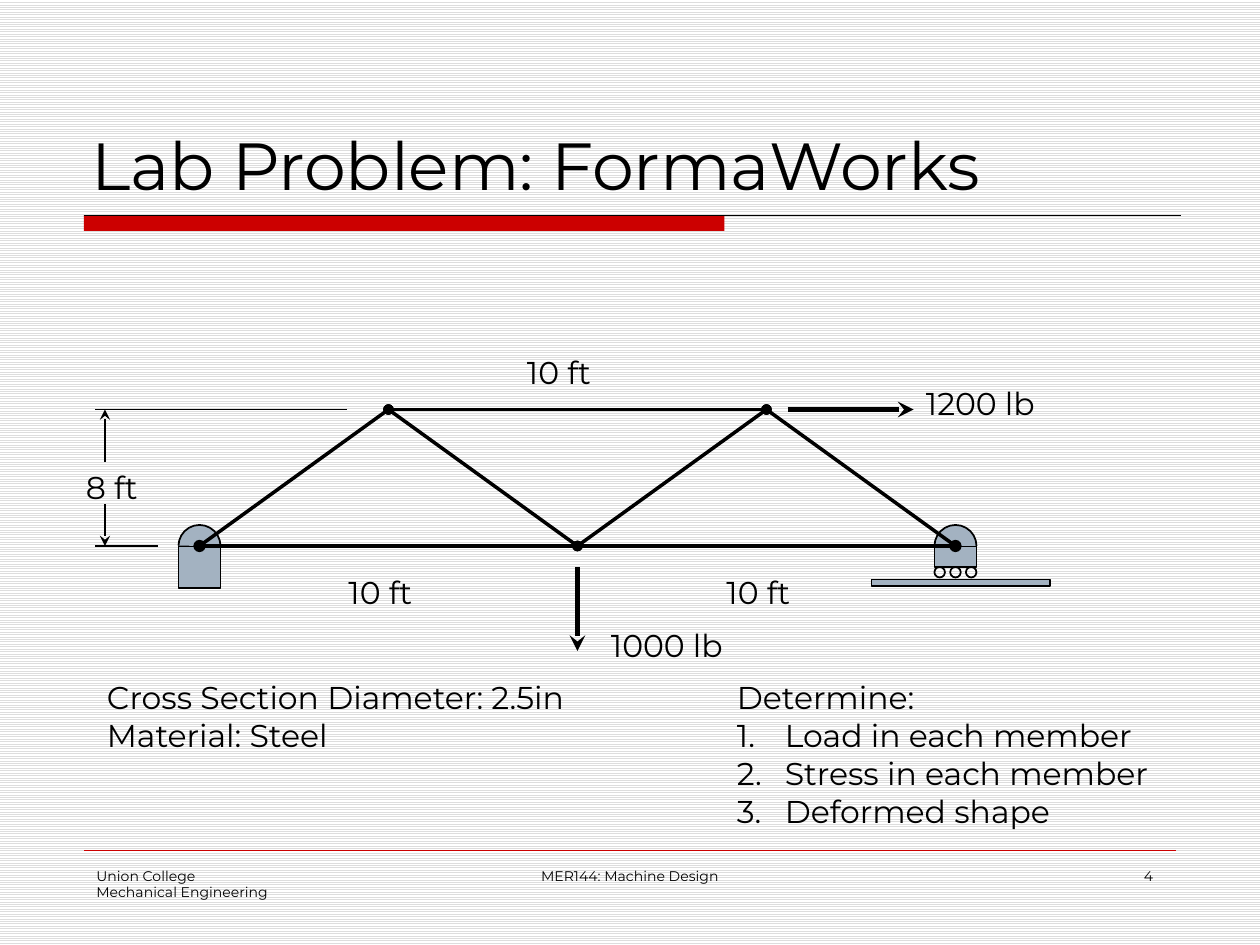
from dataclasses import dataclass
from itertools import pairwise
from lxml.etree import SubElement
from pptx import Presentation
from pptx.dml.color import RGBColor as Rgb
from pptx.enum.dml import MSO_PATTERN as Pattern
from pptx.enum.shapes import MSO_CONNECTOR as Link, MSO_SHAPE as Kind
from pptx.enum.text import MSO_ANCHOR as Anchor, PP_ALIGN as Align
from pptx.oxml.ns import qn
from pptx.util import Inches, Pt


@dataclass(frozen=True)
class Theme:
    font: str = "Montserrat"
    ink: str = "000000"
    paper: str = "FFFFFF"
    rule: str = "DDDDDD"
    red: str = "CC0000"
    steel: str = "A3B2C1"
    title: int = 38
    body: int = 18
    small: int = 8


def rgb(code):
    return Rgb.from_string(code)


def write(frame, text, theme, size=None, align=Align.LEFT, anchor=Anchor.TOP, steps=()):
    frame.word_wrap = True
    frame.vertical_anchor = anchor
    rows = text.split("\n")
    for i, row in enumerate([*rows, *steps]):
        para = frame.paragraphs[0] if i == 0 else frame.add_paragraph()
        para.text = row
        para.alignment = align
        if i >= len(rows):
            props = para._p.get_or_add_pPr()
            props.set("marL", str(Inches(0.38)))
            props.set("indent", str(Inches(-0.38)))
            SubElement(props, qn("a:buAutoNum"), type="arabicPeriod")
        para.font.name = theme.font
        para.font.size = Pt(size or theme.body)
        para.font.color.rgb = rgb(theme.ink)


class Sheet:
    """Draws on one slide with a grid of 120 columns by 90 rows."""

    def __init__(self, deck, theme):
        self.theme = theme
        self.cell = deck.slide_width / 120
        self.slide = deck.slides.add_slide(deck.slide_layouts[6])
        self.shapes = self.slide.shapes
        fill = self.slide.background.fill
        fill.patterned()
        fill.pattern = Pattern.LIGHT_HORIZONTAL
        fill.fore_color.rgb = rgb(theme.rule)
        fill.back_color.rgb = rgb(theme.paper)

    def grid(self, *spans):
        return [round(span * self.cell) for span in spans]

    def text(self, x, y, w, h, words, **style):
        box = self.shapes.add_textbox(*self.grid(x, y, w, h))
        write(box.text_frame, words, self.theme, **style)

    def shape(self, kind, x, y, w, h, fill=None, edge=True):
        item = self.shapes.add_shape(kind, *self.grid(x, y, w, h))
        item.shadow.inherit = False
        if fill:
            item.fill.solid()
            item.fill.fore_color.rgb = rgb(fill)
        else:
            item.fill.background()
        if edge:
            item.line.color.rgb = rgb(self.theme.ink)
            item.line.width = Pt(1)
        else:
            item.line.fill.background()
        return item

    def line(self, start, end, width=1, color=None, head=None, tail=None):
        item = self.shapes.add_connector(Link.STRAIGHT, *self.grid(*start, *end))
        item.line.color.rgb = rgb(color or self.theme.ink)
        item.line.width = Pt(width)
        for tag, mark in (("a:headEnd", head), ("a:tailEnd", tail)):
            if mark:
                SubElement(item.line._get_or_add_ln(), qn(tag), type=mark)
        SubElement(item._element.spPr, qn("a:effectLst"))

    def mount(self, x, y, depth):
        steel = self.theme.steel
        self.shape(Kind.RECTANGLE, x - 2, y, 4, depth, steel)
        dome = self.shape(Kind.ARC, x - 2, y - 2, 4, 4, steel)
        dome.adjustments[0] = 108.724
        dome.adjustments[1] = 0
        self.shape(Kind.OVAL, x - 0.5, y - 0.5, 1, 1, self.theme.paper)


def frame(sheet, theme):
    sheet.shape(Kind.RECTANGLE, 8, 20.5, 61, 1.5, theme.red, edge=False)
    sheet.line((8, 20.5), (112.5, 20.5), 0.75)
    sheet.line((8, 81), (112, 81), 0.25, theme.red)
    sheet.text(7.5, 4, 105, 16, "Lab Problem: FormaWorks", size=theme.title, anchor=Anchor.BOTTOM)
    for x, w, words, align in (
        (8, 25, "Union College\nMechanical Engineering", Align.LEFT),
        (41, 38, "MER144: Machine Design", Align.CENTER),
        (86, 25, "4", Align.RIGHT),
    ):
        sheet.text(x, 82, w, 6, words, size=theme.small, align=align)


def truss(sheet, theme):
    base, top, bay = 52, 39, 36
    left, mid, right = [(19 + bay * i, base) for i in range(3)]
    peaks = [(37 + bay * i, top) for i in range(2)]
    sheet.mount(*left, 4)
    sheet.mount(*right, 2)
    sheet.shape(Kind.RECTANGLE, 83, 55.2, 17, 0.6, theme.steel)
    for i in range(3):
        sheet.shape(Kind.OVAL, 89 + 1.5 * i, 54, 1, 1)
    zigzag = [left, peaks[0], mid, peaks[1], right]
    for start, end in [*pairwise(zigzag), (left, mid), (mid, right), peaks]:
        sheet.line(start, end, 2, head="oval", tail="oval")
    sheet.line((55, 54), (55, 62), 3, tail="stealth")
    sheet.line((75, top), (87, top), 3, tail="stealth")
    for edge, y, near in ((33, top, 44), (15, base, 48)):
        sheet.line((edge, y), (9, y))
        sheet.line((10, near), (10, y), tail="stealth")
    for x, y, w, words in (
        (57, 59, 14.5, "1000 lb"),
        (87, 36, 14.5, "1200 lb"),
        (7, 44, 8, "8 ft"),
        (32, 54, 10, "10 ft"),
        (49, 33, 10, "10 ft"),
        (68, 54, 10, "10 ft"),
    ):
        sheet.text(x, y, w, 4.8, words)


def main():
    deck = Presentation()
    deck.slide_width, deck.slide_height = Inches(10), Inches(7.5)
    theme = Theme()
    sheet = Sheet(deck, theme)
    frame(sheet, theme)
    truss(sheet, theme)
    sheet.text(9, 64, 52, 8.5, "Cross Section Diameter: 2.5in\nMaterial: Steel")
    tasks = ("Load in each member", "Stress in each member", "Deformed shape")
    sheet.text(69, 64, 45, 15.7, "Determine:", steps=tasks)
    deck.save("out.pptx")


if __name__ == "__main__":
    main()
